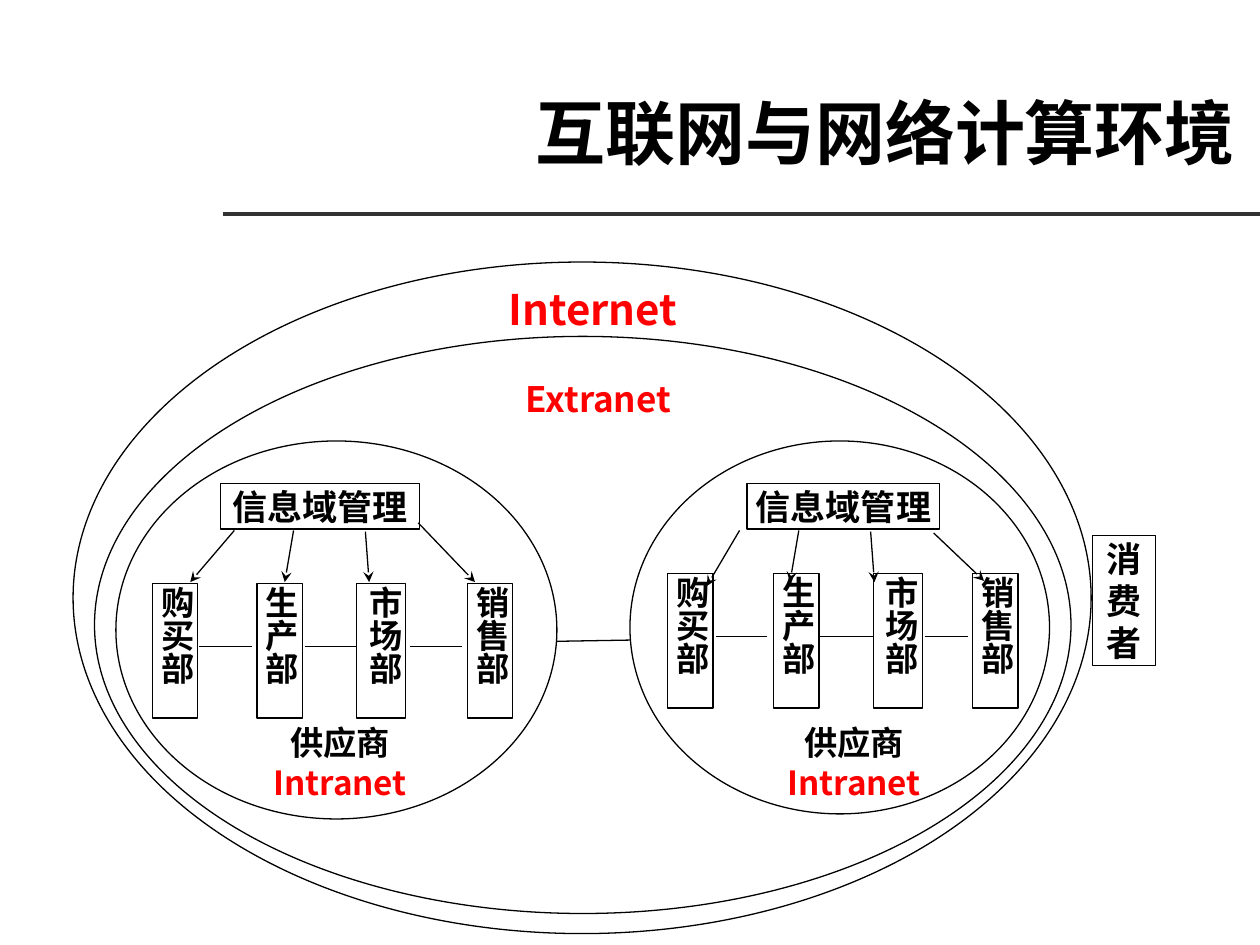
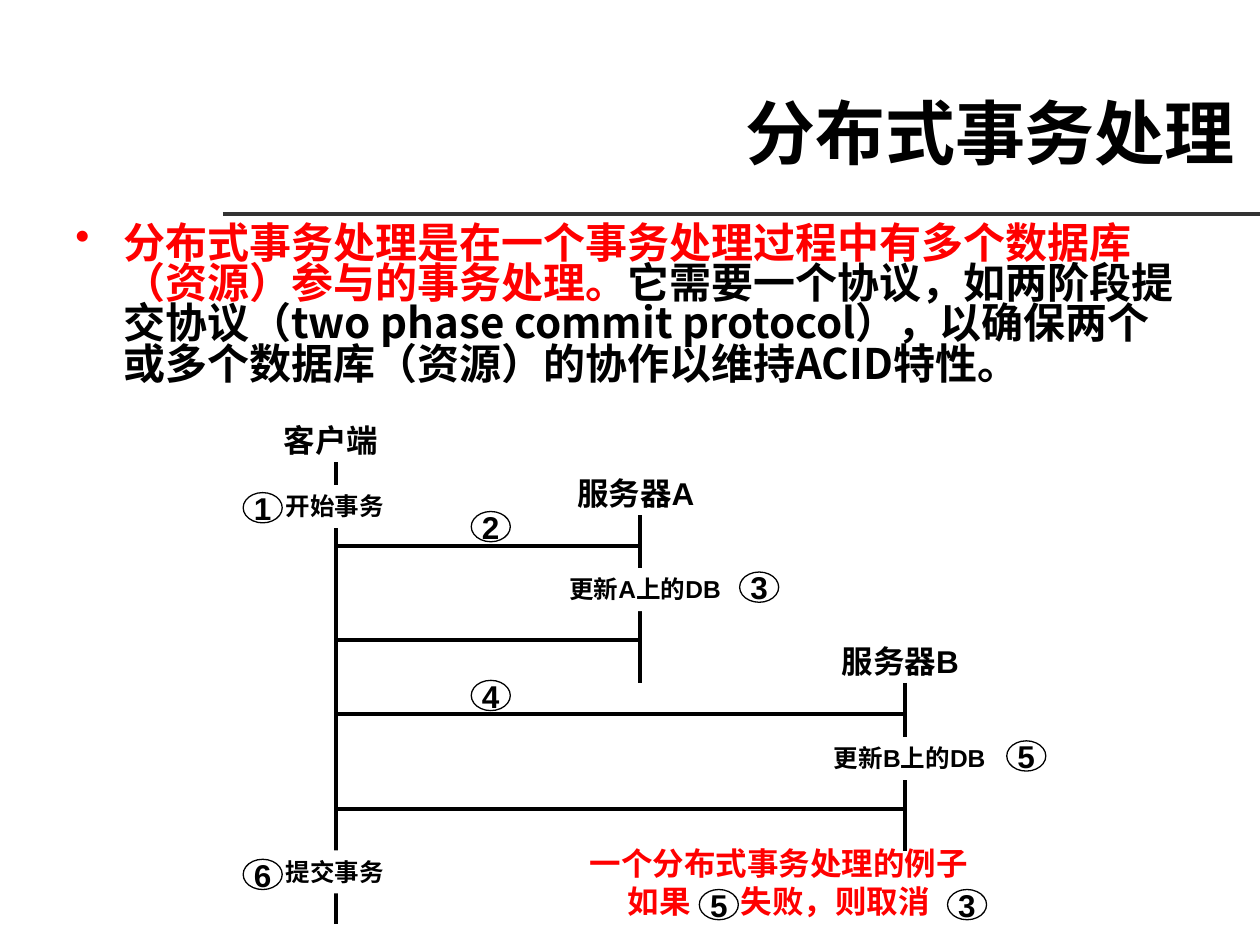
from lxml.etree import SubElement
from pptx import Presentation
from pptx.dml.color import RGBColor
from pptx.enum.shapes import MSO_CONNECTOR, MSO_SHAPE
from pptx.enum.text import MSO_ANCHOR, MSO_AUTO_SIZE, PP_ALIGN
from pptx.oxml.ns import qn
from pptx.util import Emu, Pt

PX = 9144  # 100 px to the inch
COLORS = {"ink": "000000", "rule": "333333", "accent": "FF0000", "paper": "FFFFFF"}
SANS = "Noto Sans CJK SC"
LATIN = "Arial"


def px(*lengths):
    return [Emu(length * PX) for length in lengths]


def rgb(name):
    return RGBColor.from_string(COLORS[name])


class Deck:
    """Holds the shared style and the slide being built."""

    def __init__(self):
        self.prs = Presentation()
        self.prs.slide_width, self.prs.slide_height = px(1000, 750)
        self.slide = None

    def new_slide(self, title):
        self.slide = self.prs.slides.add_slide(self.prs.slide_layouts[5])
        self.line((177, 170), (1000, 170), "rule", 2.25)
        heading = self.slide.shapes.title
        self.place(heading, (177, 38, 813, 132))
        self.set_text(heading, [[(title, "ink")]], 40, align=PP_ALIGN.RIGHT, inset=(10, 5))

    def place(self, shape, box):
        for side, length in zip(("left", "top", "width", "height"), px(*box)):
            setattr(shape, side, length)

    def set_text(self, shape, paragraphs, size, font=SANS, align=PP_ALIGN.CENTER,
                 anchor=MSO_ANCHOR.MIDDLE, inset=(2, 1), wrap=True, spacing=None,
                 vertical=False):
        """Fill a shape with paragraphs, each a list of (text, colour) runs."""
        frame = shape.text_frame
        across, down = px(*inset)
        frame_format = {
            "margin_left": across, "margin_right": across,
            "margin_top": down, "margin_bottom": down,
            "vertical_anchor": anchor, "word_wrap": wrap,
            "auto_size": MSO_AUTO_SIZE.NONE,
        }
        for name, value in frame_format.items():
            setattr(frame, name, value)
        if vertical:
            frame._txBody.bodyPr.set("vert", "eaVert")
        for index, runs in enumerate(paragraphs):
            paragraph = frame.add_paragraph() if index else frame.paragraphs[0]
            paragraph.alignment = align
            if spacing:
                paragraph.line_spacing = Pt(spacing)
            for text, color in runs:
                run = paragraph.add_run()
                run.text = text
                for name, value in {"size": Pt(size), "bold": True, "name": font}.items():
                    setattr(run.font, name, value)
                run.font.color.rgb = rgb(color)
                SubElement(run.font._element, qn("a:ea")).set("typeface", font)
        return frame

    def label(self, box, paragraphs, size, **text_format):
        textbox = self.slide.shapes.add_textbox(*px(*box))
        return self.set_text(textbox, paragraphs, size, **text_format)

    def outline(self, kind, box, text=None, size=None, **text_format):
        shape = self.slide.shapes.add_shape(kind, *px(*box))
        shape.shadow.inherit = False
        shape.fill.background()
        shape.line.color.rgb = rgb("ink")
        shape.line.width = Pt(0.75)
        if text:
            self.set_text(shape, [[(text, "ink")]], size, **text_format)

    def oval(self, box):
        self.outline(MSO_SHAPE.OVAL, box)

    def rect(self, box, text, size, **text_format):
        self.outline(MSO_SHAPE.RECTANGLE, box, text, size, **text_format)

    def step(self, number, left, top):
        self.outline(MSO_SHAPE.OVAL, (left, top, 31, 24), str(number), 18,
                     font=LATIN, inset=(10, 5), wrap=False)

    def patch(self, box, text, align=PP_ALIGN.CENTER):
        """A white label that interrupts the line behind it."""
        shape = self.slide.shapes.add_shape(MSO_SHAPE.RECTANGLE, *px(*box))
        shape.shadow.inherit = False
        shape.fill.solid()
        shape.fill.fore_color.rgb = rgb("paper")
        shape.line.fill.background()
        self.set_text(shape, [[(text, "ink")]], 14, font=LATIN, align=align,
                      anchor=MSO_ANCHOR.TOP, inset=(10, 5), wrap=False)

    def line(self, start, end, color="ink", width=0.75, arrow=False):
        connector = self.slide.shapes.add_connector(
            MSO_CONNECTOR.STRAIGHT, *px(*start, *end))
        connector.line.color.rgb = rgb(color)
        connector.line.width = Pt(width)
        if arrow:
            SubElement(connector.line._get_or_add_ln(), qn("a:headEnd")).set("type", "stealth")
        SubElement(connector._element.spPr, qn("a:effectLst"))


DEPARTMENTS = ["购买部", "生产部", "市场部", "销售部"]
DEPARTMENT_WIDTHS = [36, 36, 39, 36]
INTRANETS = [
    {
        "oval": (92, 350, 350, 300), "manager": (175, 384, 158, 36),
        "lefts": [121, 204, 283, 371], "top": 463,
        "links": [(158, 200), (242, 283), (325, 367)],
        "arrows": [((151, 462), (186, 421)), ((226, 462), (233, 421)),
                   ((293, 462), (290, 422)), ((377, 462), (332, 415))],
        "supplier": 198, "high": None,
    },
    {
        "oval": (500, 350, 333, 296), "manager": (593, 384, 153, 36),
        "lefts": [530, 614, 693, 772], "top": 455,
        "links": [(568, 609), (651, 693), (734, 768)],
        "arrows": [((561, 465), (587, 421)), ((627, 462), (634, 421)),
                   ((694, 462), (691, 422)), ((781, 461), (741, 423))],
        "supplier": 606, "high": "市场部",
    },
]


def add_intranet(deck, intranet):
    top = intranet["top"]
    deck.oval(intranet["oval"])
    deck.rect(intranet["manager"], "信息域管理", 20)
    for name, left, width in zip(DEPARTMENTS, intranet["lefts"], DEPARTMENT_WIDTHS):
        align = PP_ALIGN.LEFT if name == intranet["high"] else PP_ALIGN.CENTER
        deck.rect((left, top, width, 107), name, 19, align=align,
                  anchor=MSO_ANCHOR.TOP, inset=(1, 2), vertical=True)
    for start, end in intranet["links"]:
        deck.line((end, top + 50), (start, top + 50))
    for department, manager in intranet["arrows"]:
        deck.line(department, manager, arrow=True)
    deck.label((intranet["supplier"], 567, 144, 106),
               [[("供应商", "ink")], [("Intranet", "accent")]], 19,
               anchor=MSO_ANCHOR.TOP, inset=(12, 6), spacing=23)


def add_network_slide(deck):
    deck.new_slide("互联网与网络计算环境")

    # Nested networks
    for name, oval, caption, size in [
        ("Internet", (58, 208, 808, 533), (383, 216, 175, 92), 24),
        ("Extranet", (75, 267, 775, 458), (400, 291, 150, 78), 20),
    ]:
        deck.oval(oval)
        deck.label(caption, [[(name, "accent")]], size, anchor=MSO_ANCHOR.TOP,
                   inset=(12, 6), spacing=round(size * 1.29))

    # Two suppliers, joined, and the consumer
    for intranet in INTRANETS:
        add_intranet(deck, intranet)
    deck.line((500, 508), (442, 509))
    deck.rect((867, 425, 50, 103), "消费者", 20, spacing=24)


def add_transaction_slide(deck):
    deck.new_slide("分布式事务处理")

    # Definition
    definition = deck.label((50, 175, 900, 150), [[
        ("分布式事务处理是在一个事务处理过程中有多个数据库（资源）参与的事务处理。", "accent"),
        ("它需要一个协议，如两阶段提交协议（two phase commit protocol），"
         "以确保两个或多个数据库（资源）的协作以维持ACID特性。", "ink"),
    ]], 24, align=PP_ALIGN.LEFT, anchor=MSO_ANCHOR.TOP, inset=(10, 5), spacing=23)
    bullet = definition.paragraphs[0]._p.get_or_add_pPr()
    for name, length in {"marL": 38, "indent": -38}.items():
        bullet.set(name, str(length * PX))
    bullet_color = SubElement(bullet, qn("a:buClr"))
    SubElement(bullet_color, qn("a:srgbClr")).set("val", COLORS["accent"])
    SubElement(bullet, qn("a:buChar")).set("char", "•")

    # Lifelines and their heads
    client, server_a, server_b = 267, 508, 718
    for name, left, top, lifeline, bottom in [
        ("客户端", 200, 333, client, 733),
        ("服务器A", 442, 375, server_a, 542),
        ("服务器B", 652, 508, server_b, 675),
    ]:
        deck.line((lifeline, top + 34), (lifeline, bottom), width=2.25)
        deck.label((left, top, 125, 33), [[(name, "ink")]], 18, font=LATIN,
                   inset=(10, 5), wrap=False)

    # Messages between the client and the servers
    for server, y in [(server_a, 433), (server_a, 508), (server_b, 567), (server_b, 642)]:
        deck.line((server, y), (client, y), width=2.25)

    # Actions on the lifelines
    for action, top in [("开始事务", 385), ("提交事务", 675)]:
        deck.patch((217, top, 98, 34), action, PP_ALIGN.LEFT)
    for action, left, top in [("更新A上的DB", 435, 451), ("更新B上的DB", 645, 585)]:
        deck.patch((left, top, 154, 34), action)

    # Closing remark, with room left for a step number
    remark = deck.label((437, 682, 362, 36), [
        [("一个分布式事务处理的例子", "accent")],
        [("如果", "accent"), (" ", "accent"), ("失败，则取消", "accent")],
    ], 18, font=LATIN, inset=(10, 5), wrap=False)
    remark.paragraphs[1].runs[1].font._element.set("spc", "2360")

    # Step numbers
    for number, left, top in [(1, 193, 391), (2, 374, 406), (3, 587, 454), (4, 374, 540),
                              (5, 799, 588), (6, 193, 682), (3, 752, 706), (5, 555, 706)]:
        deck.step(number, left, top)


def main():
    deck = Deck()
    add_network_slide(deck)
    add_transaction_slide(deck)
    deck.prs.save("out.pptx")


if __name__ == "__main__":
    main()
